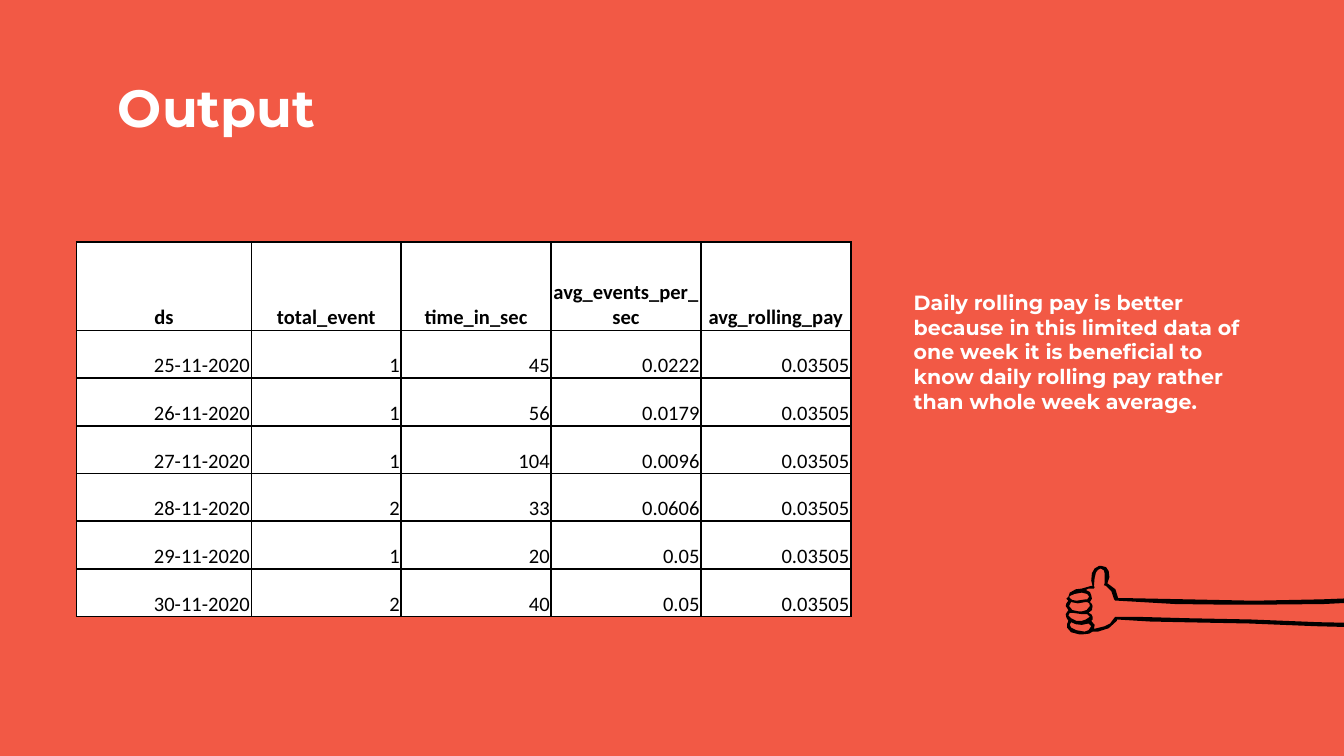
from lxml import etree
from pptx import Presentation
from pptx.dml.color import RGBColor
from pptx.enum.text import MSO_ANCHOR, PP_ALIGN
from pptx.oxml.ns import qn
from pptx.util import Pt

PX = 4572  # 200 px to the inch
TOP, BOTTOM = MSO_ANCHOR.TOP, MSO_ANCHOR.BOTTOM
CENTER, RIGHT = PP_ALIGN.CENTER, PP_ALIGN.RIGHT

COLORS = {"back": "F25945", "text": "FFFFFF", "cell": "FFFFFF", "ink": "000000"}

HEAD = ["ds", "total_event", "time_in_sec", "avg_events_per_sec", "avg_rolling_pay"]
DAYS = [
    ("25-11-2020", "1", "45", "0.0222"),
    ("26-11-2020", "1", "56", "0.0179"),
    ("27-11-2020", "1", "104", "0.0096"),
    ("28-11-2020", "2", "33", "0.0606"),
    ("29-11-2020", "1", "20", "0.05"),
    ("30-11-2020", "2", "40", "0.05"),
]
PAY = "0.03505"
NOTE = ("Daily rolling pay is better because in this limited data of one week "
        "it is beneficial to know daily rolling pay rather than whole week average.")

# Thumbs-up: outer edge of the ink, then the inside of each finger
EDGE = [
    # Thumb and knuckles
    (52, 0), (50, 0), (43, 4), (39, 11), (38, 22), (40, 30), (38, 30), (24, 34),
    (15, 35), (6, 40), (4, 46), (1, 49), (4, 52), (1, 56), (0, 60), (4, 66),
    (0, 72), (1, 77), (4, 82), (2, 87), (2, 92), (8, 99), (20, 102), (26, 102),
    (35, 101), (40, 98), (48, 98), (64, 93), (76, 82),
    # Lower line of the arm
    (76, 80), (125, 83), (172, 84), (274, 86), (372, 90), (452, 92), (474, 92),
    (478, 90), (474, 86), (376, 84), (276, 80), (178, 78), (104, 76), (74, 76),
    # Inside of the palm
    (72, 78), (66, 86), (58, 90), (42, 94), (43, 88), (38, 82), (40, 80),
    (40, 76), (38, 72), (34, 70), (39, 66), (40, 60), (39, 57), (36, 54),
    (39, 49), (38, 44), (36, 39), (30, 36), (34, 34), (42, 34), (43, 32),
    (42, 30), (43, 18), (45, 10), (48, 6), (52, 4), (57, 7), (58, 12), (58, 26),
    (57, 29), (60, 30), (68, 38), (72, 50), (74, 52),
    # Upper line of the arm
    (78, 52), (163, 57), (248, 58), (280, 58), (384, 57), (482, 52), (486, 49),
    (482, 46), (382, 50), (280, 52), (180, 50), (82, 48), (78, 48), (74, 35),
    (62, 26), (65, 17), (64, 8), (60, 2),
]
FINGERS = [
    [(24, 40), (32, 42), (35, 46), (32, 50), (30, 50), (16, 52), (10, 51),
     (6, 48), (6, 45), (13, 42)],
    [(32, 54), (35, 56), (36, 60), (31, 66), (24, 68), (20, 68), (10, 66),
     (5, 60), (8, 54), (18, 56), (30, 54)],
    [(6, 70), (10, 70), (24, 72), (32, 72), (36, 76), (30, 80), (24, 82),
     (16, 82), (8, 78), (4, 74)],
    [(8, 84), (15, 87), (24, 88), (34, 86), (38, 90), (34, 96), (28, 98),
     (16, 96), (8, 92), (6, 88)],
]


def color(name):
    return RGBColor.from_string(COLORS[name])


def style(par, font, size, tone, bold):
    for run in par.runs:
        run.font.name = font
        run.font.size = Pt(size)
        run.font.bold = bold
        run.font.color.rgb = color(tone)


def add_text(slide, box, text, size, pad):
    frame = slide.shapes.add_textbox(*(n * PX for n in box)).text_frame
    frame.word_wrap = True
    frame.vertical_anchor = TOP
    frame.margin_left = frame.margin_right = 20 * PX
    frame.margin_top = frame.margin_bottom = pad * PX
    frame.text = text
    style(frame.paragraphs[0], "Montserrat", size, "text", True)


def add_hand(slide, left, top):
    pen = slide.shapes.build_freeform(*EDGE[0], scale=PX)
    pen.add_line_segments(EDGE[1:])
    for ring in FINGERS:
        pen.move_to(*ring[0])
        pen.add_line_segments(ring[1:])
    hand = pen.convert_to_shape(left * PX, top * PX)
    hand.shadow.inherit = False
    hand.fill.solid()
    hand.fill.fore_color.rgb = color("ink")
    hand.line.fill.background()


def add_edges(cell):
    props = cell._tc.get_or_add_tcPr()
    for side in ("a:lnL", "a:lnR", "a:lnT", "a:lnB"):
        line = etree.SubElement(props, qn(side), w=str(Pt(1)))
        fill = etree.SubElement(line, qn("a:solidFill"))
        etree.SubElement(fill, qn("a:srgbClr"), val=COLORS["ink"])


def fill_cell(cell, text, head):
    cell.margin_left = cell.margin_right = cell.margin_top = 2 * PX
    cell.margin_bottom = 0
    cell.vertical_anchor = BOTTOM
    add_edges(cell)
    cell.fill.solid()
    cell.fill.fore_color.rgb = color("cell")
    cell.text_frame.text = text
    par = cell.text_frame.paragraphs[0]
    par.alignment = CENTER if head else RIGHT
    style(par, "Calibri", 11, "ink", head)


def add_grid(slide, box):
    left, top, width, height = box
    rows = [HEAD] + [(*day, PAY) for day in DAYS]
    first, tall = 260, 132  # date column and header row
    table = slide.shapes.add_table(
        len(rows), len(HEAD), left * PX, top * PX, width * PX, height * PX).table
    table.first_row = table.horz_banding = False
    for i, col in enumerate(table.columns):
        col.width = (first if i == 0 else (width - first) // (len(HEAD) - 1)) * PX
    for i, row in enumerate(table.rows):
        row.height = (tall if i == 0 else (height - tall) // len(DAYS)) * PX
        for j, text in enumerate(rows[i]):
            fill_cell(table.cell(i, j), text, i == 0)


def main():
    deck = Presentation()
    deck.slide_width, deck.slide_height = 2000 * PX, 1125 * PX
    slide = deck.slides.add_slide(deck.slide_layouts[6])
    slide.background.fill.solid()
    slide.background.fill.fore_color.rgb = color("back")

    add_text(slide, (156, 92, 1688, 126), "Output", 28, 20)
    add_hand(slide, 1586, 842)
    add_grid(slide, (114, 360, 1152, 558))
    add_text(slide, (1340, 422, 546, 206), NOTE, 11, 10)
    deck.save("out.pptx")


if __name__ == "__main__":
    main()
